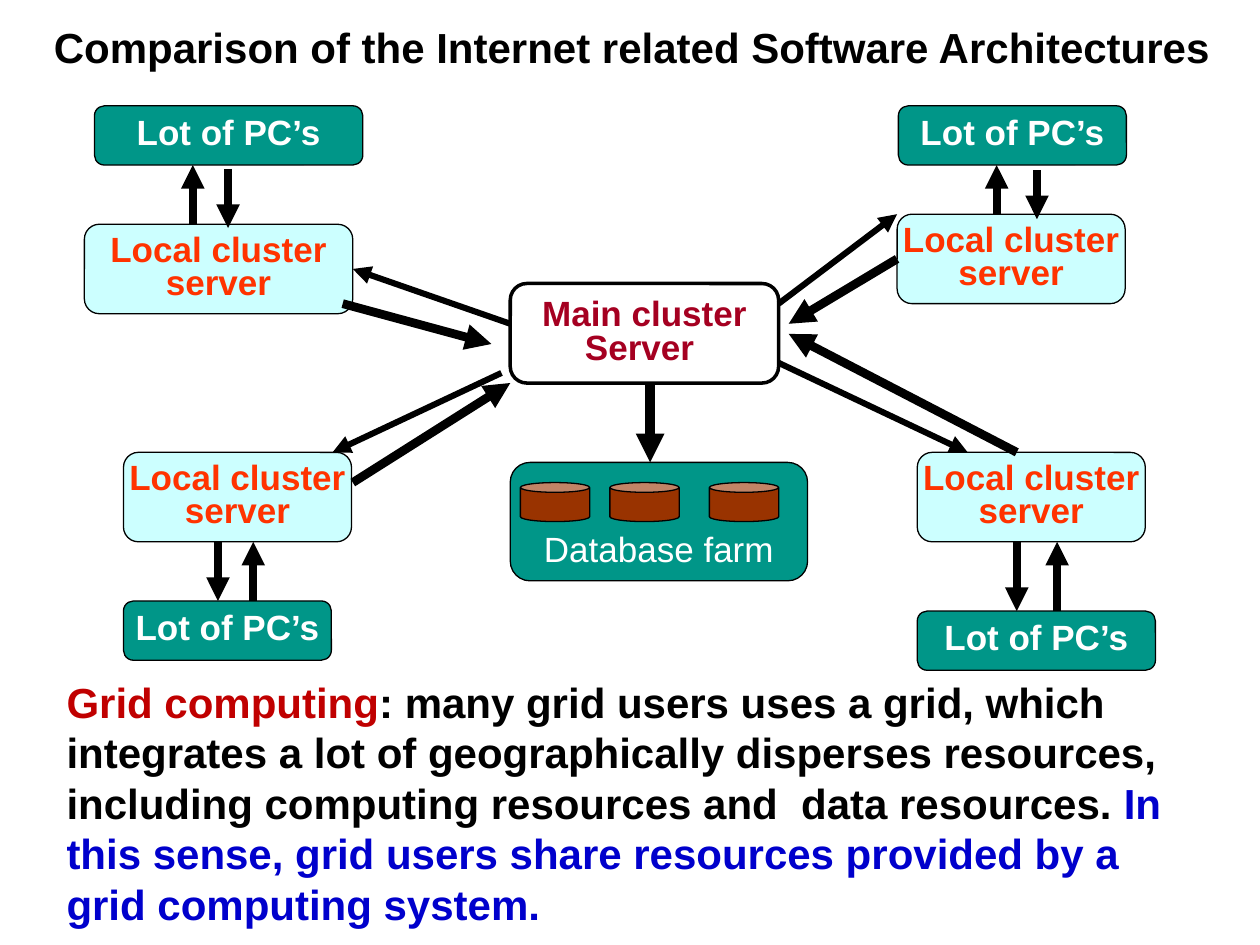
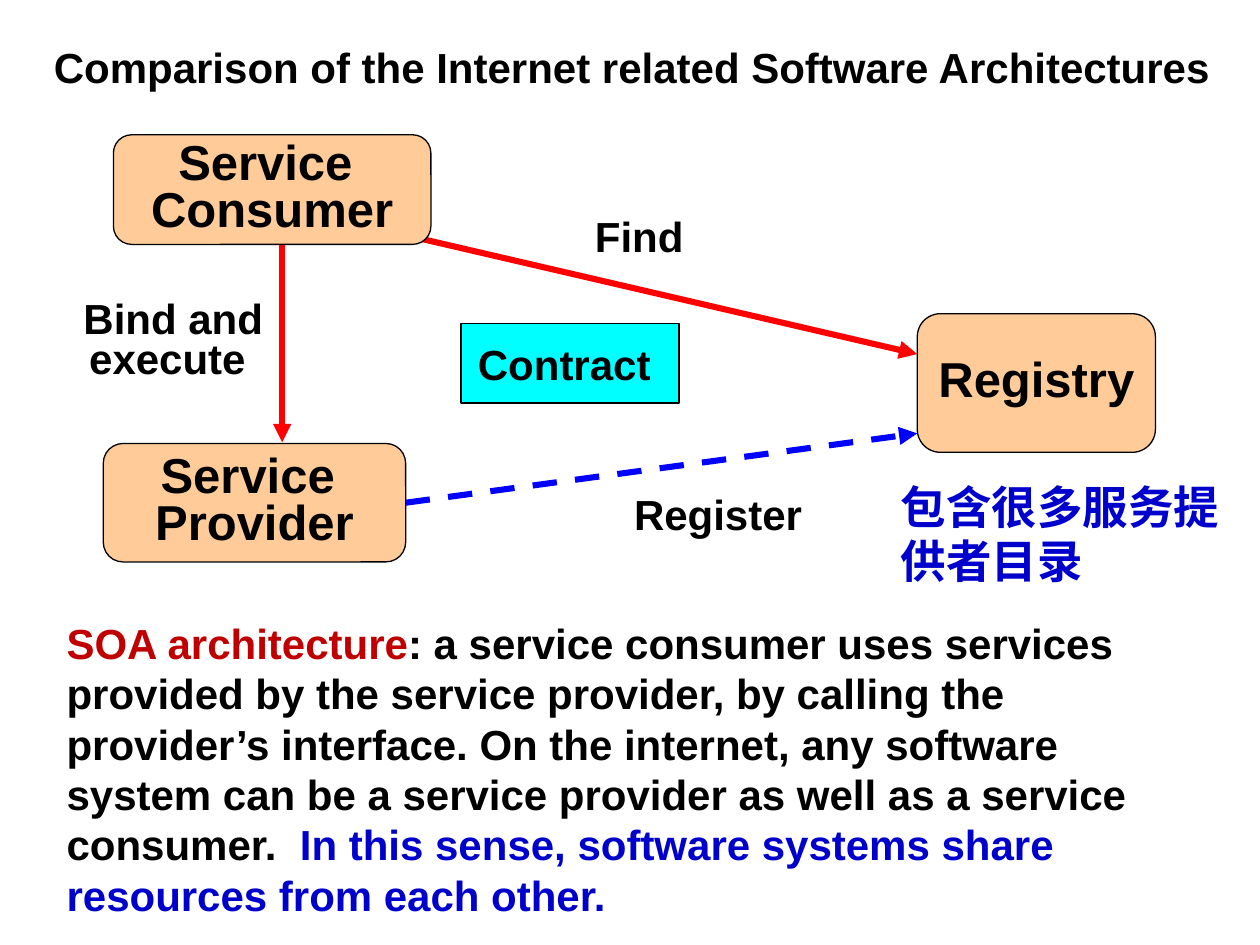
from dataclasses import dataclass
from typing import NamedTuple, Optional

import pptx
import pptx.dml.color
import pptx.enum.dml
import pptx.enum.shapes
import pptx.enum.text
import pptx.oxml
import pptx.oxml.ns
import pptx.util
from pptx.util import Inches

RGBColor = pptx.dml.color.RGBColor
MSO_SHAPE = pptx.enum.shapes.MSO_SHAPE
ANCHOR = pptx.enum.text.MSO_ANCHOR
ALIGN = pptx.enum.text.PP_ALIGN

BLACK = RGBColor(0x00, 0x00, 0x00)
WHITE = RGBColor(0xFF, 0xFF, 0xFF)
TEAL = RGBColor(0x00, 0x96, 0x88)
PALE_CYAN = RGBColor(0xCC, 0xFF, 0xFF)
CYAN = RGBColor(0x00, 0xFF, 0xFF)
PEACH = RGBColor(0xFF, 0xCC, 0x99)
BROWN = RGBColor(0x99, 0x33, 0x00)
ORANGE_RED = RGBColor(0xFF, 0x33, 0x00)
CRIMSON = RGBColor(0xA5, 0x00, 0x21)
DARK_RED = RGBColor(0xC0, 0x00, 0x00)
RED = RGBColor(0xFF, 0x00, 0x00)
BLUE = RGBColor(0x00, 0x00, 0xFF)
DARK_BLUE = RGBColor(0x00, 0x00, 0xCC)

LATIN_FONT = "Arial"
CHINESE_FONT = "Noto Sans CJK SC"
TITLE = "Comparison of the Internet related Software Architectures"
LEFT, RIGHT = 1, 3  # connection sites of a rectangle


class Area(NamedTuple):
    left: float
    top: float
    width: float
    height: float

    @property
    def bottom(self) -> float:
        return self.top + self.height


class Run(NamedTuple):
    text: str
    color: RGBColor = BLACK
    size: float = 24
    bold: bool = True
    font: str = LATIN_FONT


class Arrow(NamedTuple):
    x1: float
    y1: float
    x2: float
    y2: float
    width: float
    color: RGBColor = BLACK
    dashed: bool = False


@dataclass(frozen=True)
class BoxStyle:
    fill: RGBColor
    color: RGBColor = BLACK
    size: float = 20
    bold: bool = True
    border: float = 0.75
    side_inset: float = 0.1
    spacing: float = 0.8
    anchor: ANCHOR = ANCHOR.MIDDLE
    shape: MSO_SHAPE = MSO_SHAPE.ROUNDED_RECTANGLE


@dataclass(frozen=True)
class Cluster:
    server: Area
    pcs: Area
    to_pcs_x: float
    from_pcs_x: float
    return_shift: float = 0


MAIN = BoxStyle(WHITE, CRIMSON, border=2)
SERVER = BoxStyle(PALE_CYAN, ORANGE_RED, side_inset=0)
PCS = BoxStyle(TEAL, WHITE, side_inset=0)
FARM = BoxStyle(TEAL, WHITE, bold=False, anchor=ANCHOR.BOTTOM)
DATABASE = BoxStyle(BROWN, shape=MSO_SHAPE.CAN)
SERVICE = BoxStyle(PEACH, size=28)
CONTRACT = BoxStyle(CYAN, size=24, spacing=1, shape=MSO_SHAPE.RECTANGLE)

UPPER_LEFT = Cluster(Area(0.67, 1.78, 2.13, 0.71), Area(0.75, 0.84, 2.13, 0.47),
                     1.53, 1.81, 0.03)
UPPER_RIGHT = Cluster(Area(7.12, 1.7, 1.81, 0.71), Area(7.13, 0.84, 1.81, 0.47),
                      7.91, 8.23, 0.04)
LOWER_LEFT = Cluster(Area(0.98, 3.59, 1.81, 0.71), Area(0.98, 4.77, 1.65, 0.47),
                     1.73, 2.01)
LOWER_RIGHT = Cluster(Area(7.28, 3.59, 1.81, 0.71), Area(7.28, 4.85, 1.89, 0.47),
                      8.07, 8.39)


def place(area: Area) -> tuple:
    return tuple(Inches(v) for v in area)


def add_run(p, run: Run) -> None:
    r = p.add_run()
    r.text = run.text
    r.font.name = run.font
    r.font.size = pptx.util.Pt(run.size)
    r.font.bold = run.bold
    r.font.color.rgb = run.color
    if run.font != LATIN_FONT:
        ea = pptx.oxml.ns.qn("a:ea")
        r._r.get_or_add_rPr().append(r._r.makeelement(ea, {"typeface": run.font}))


def set_insets(tf, side: float, end: float) -> None:
    tf.margin_left = tf.margin_right = Inches(side)
    tf.margin_top = tf.margin_bottom = Inches(end)


def add_box(s, style: BoxStyle, area: Area, *lines: str):
    sp = s.shapes.add_shape(style.shape, *place(area))
    sp.shadow.inherit = False
    sp.fill.solid()
    sp.fill.fore_color.rgb = style.fill
    sp.line.color.rgb = BLACK
    sp.line.width = pptx.util.Pt(style.border)
    tf = sp.text_frame
    tf.word_wrap = False
    tf.vertical_anchor = style.anchor
    set_insets(tf, style.side_inset, 0.05)
    for i, line in enumerate(lines):
        p = tf.add_paragraph() if i else tf.paragraphs[0]
        p.alignment = ALIGN.CENTER
        p.line_spacing = style.spacing
        add_run(p, Run(line, style.color, style.size, style.bold))
    return sp


def add_text(s, area: Area, *runs: Run, align: Optional[ALIGN] = ALIGN.LEFT,
             spacing: float = 1) -> None:
    tf = s.shapes.add_textbox(*place(area)).text_frame
    tf.word_wrap = True
    p = tf.paragraphs[0]
    p.alignment = align
    p.line_spacing = spacing
    for run in runs:
        add_run(p, run)


def add_explanation(s, area: Area, term: str, meaning: str, sense: str) -> None:
    add_text(s, area, Run(term, DARK_RED), Run(meaning), Run(sense, DARK_BLUE))


def add_arrow(s, arrow: Arrow):
    c = s.shapes.add_connector(pptx.enum.shapes.MSO_CONNECTOR.STRAIGHT,
                               *(Inches(v) for v in arrow[:4]))
    c.line.color.rgb = arrow.color
    c.line.width = pptx.util.Pt(arrow.width)
    if arrow.dashed:
        c.line.dash_style = pptx.enum.dml.MSO_LINE.DASH
    qn = pptx.oxml.ns.qn
    ln = c.line._get_or_add_ln()
    ln.append(ln.makeelement(qn("a:tailEnd"), {"type": "triangle"}))
    sp_pr = c._element.spPr
    sp_pr.append(sp_pr.makeelement(qn("a:effectLst"), {}))
    return c


def add_titled_slide(prs, title_top: float):
    s = prs.slides.add_slide(prs.slide_layouts[5])
    sp = s.shapes.title
    sp.left, sp.top, sp.width, sp.height = place(Area(0.31, title_top, 9.41, 0.7))
    tf = sp.text_frame
    tf.auto_size = pptx.enum.text.MSO_AUTO_SIZE.NONE
    tf.word_wrap = True
    tf.vertical_anchor = ANCHOR.MIDDLE
    set_insets(tf, 0, 0)
    p = tf.paragraphs[0]
    p.alignment = ALIGN.CENTER
    p.line_spacing = 0.85
    add_run(p, Run(TITLE))
    return s


def add_cluster(s, cluster: Cluster):
    """Draw a server, its PCs and the two arrows between them; return the server."""
    server, pcs = cluster.server, cluster.pcs
    add_box(s, PCS, pcs, "Lot of PC’s")
    sp = add_box(s, SERVER, server, "Local cluster", "server")
    if pcs.top < server.top:
        server_y, pcs_y = server.top, pcs.bottom
    else:
        server_y, pcs_y = server.bottom, pcs.top
    shift = cluster.return_shift
    add_arrow(s, Arrow(cluster.to_pcs_x, server_y, cluster.to_pcs_x, pcs_y, 4.5))
    add_arrow(s, Arrow(cluster.from_pcs_x, pcs_y + shift,
                       cluster.from_pcs_x, server_y + shift, 4.5))
    return sp


def build_grid_slide(prs) -> None:
    s = add_titled_slide(prs, 0.05)
    add_box(s, MAIN, Area(4.05, 2.25, 2.13, 0.79), "Main cluster", "Server ")
    add_box(s, FARM, Area(4.05, 3.67, 2.36, 0.94), "Database farm")
    for left in (4.13, 4.84, 5.63):
        add_box(s, DATABASE, Area(left, 3.83, 0.55, 0.31))
    upper_left, upper_right, _, _ = [
        add_cluster(s, c) for c in (UPPER_LEFT, UPPER_RIGHT, LOWER_LEFT, LOWER_RIGHT)]

    to_upper_left = add_arrow(s, Arrow(4.05, 2.57, 2.8, 2.18, 3.5))
    to_upper_left.end_connect(upper_left, RIGHT)
    from_upper_right = add_arrow(s, Arrow(7.12, 2.1, 6.26, 2.57, 5))
    from_upper_right.begin_connect(upper_right, LEFT)
    for arrow in (
        Arrow(6.18, 2.41, 7.12, 1.7, 3.5),
        Arrow(3.98, 2.96, 2.64, 3.59, 3.5),
        Arrow(6.18, 2.88, 7.68, 3.59, 3.5),
        Arrow(2.8, 3.83, 4.05, 3.04, 5),
        Arrow(2.72, 2.41, 3.9, 2.73, 5),
        Arrow(8.07, 3.59, 6.26, 2.65, 5),
        Arrow(5.16, 3.04, 5.16, 3.67, 5.5),
    ):
        add_arrow(s, arrow)

    add_explanation(
        s, Area(0.43, 5.32, 9.14, 2.12), "Grid computing",
        ": many grid users uses a grid, which integrates a lot of geographically "
        "disperses resources, including computing resources and  data resources. ",
        "In this sense, grid users share resources provided by a grid computing system.")


def build_soa_slide(prs) -> None:
    s = add_titled_slide(prs, 0.21)
    add_box(s, CONTRACT, Area(3.66, 2.57, 1.73, 0.63), "Contract ")
    provider = add_box(s, SERVICE, Area(0.82, 3.52, 2.4, 0.94), "Service ", "Provider")
    add_box(s, SERVICE, Area(7.28, 2.49, 1.89, 1.1), "Registry")

    add_arrow(s, Arrow(3.19, 1.86, 7.28, 2.81, 3.5, RED))
    add_arrow(s, Arrow(2.24, 1.86, 2.24, 3.51, 3.5, RED))
    register = add_arrow(s, Arrow(3.27, 3.99, 7.28, 3.44, 3.5, BLUE, dashed=True))
    register.begin_connect(provider, RIGHT)
    # The consumer covers the tails of its own arrows.
    add_box(s, SERVICE, Area(0.9, 1.07, 2.52, 0.87), "Service ", "Consumer")

    for area, label, spacing in (
        (Area(4.37, 1.62, 1.5, 0.5), "Find ", 1),
        (Area(4.84, 3.83, 1.81, 0.5), "Register ", 1),
        (Area(0.43, 2.35, 1.89, 0.74), "Bind and execute ", 0.8),
    ):
        add_text(s, area, Run(label), align=ALIGN.CENTER, spacing=spacing)
    add_text(s, Area(7.05, 3.75, 2.76, 0.98),
             Run("包含很多服务提供者目录", DARK_BLUE, 26, font=CHINESE_FONT))

    add_explanation(
        s, Area(0.43, 4.85, 8.82, 2.52), "SOA architecture",
        ": a service consumer uses services provided by the service provider, by "
        "calling the provider’s interface. On the internet, any software system can "
        "be a service provider as well as a service consumer.  ",
        "In this sense, software systems share resources from each other.")


def main() -> None:
    prs = pptx.Presentation()
    prs.slide_width, prs.slide_height = Inches(10), Inches(7.5)
    build_grid_slide(prs)
    build_soa_slide(prs)
    prs.save("out.pptx")


if __name__ == "__main__":
    main()
